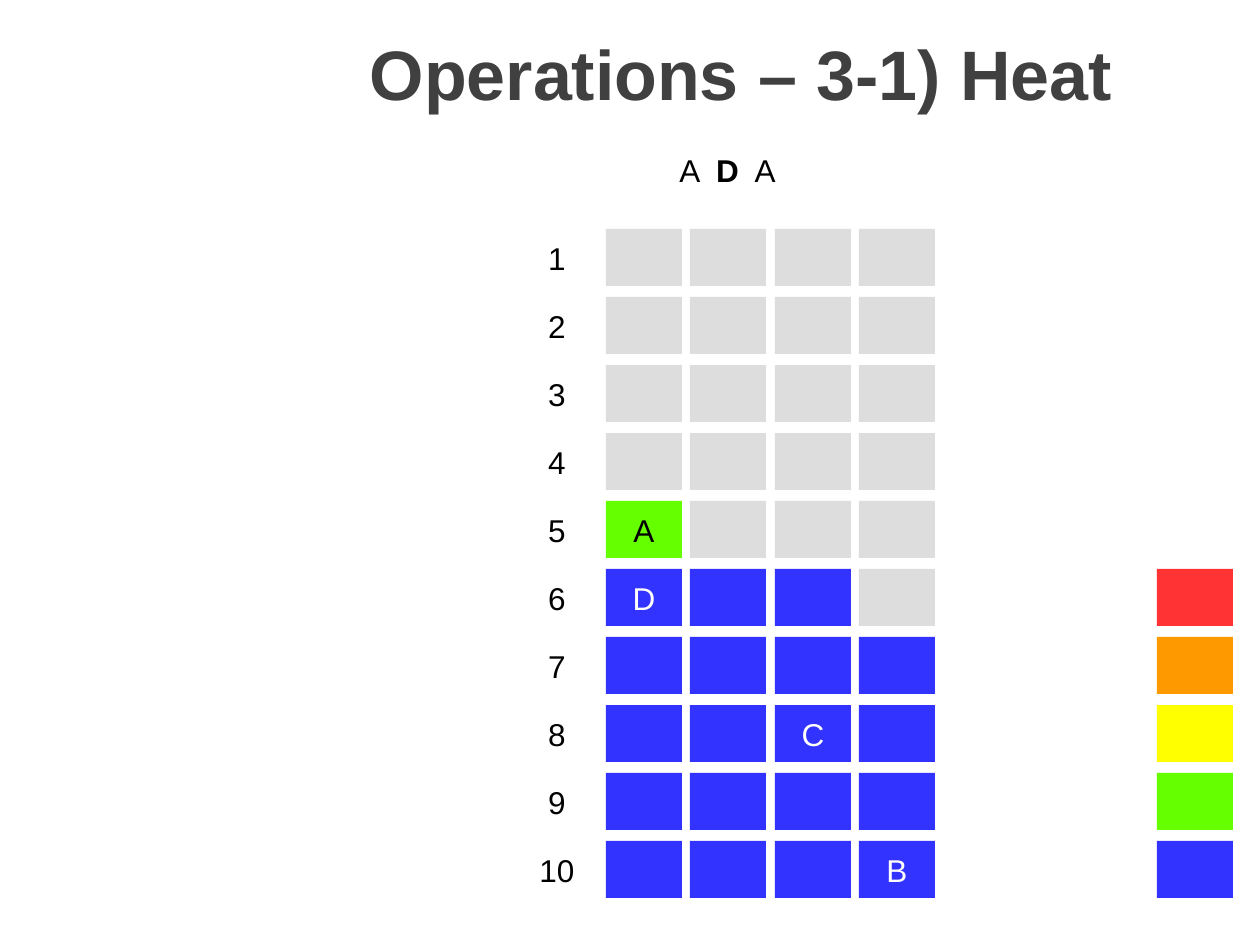
import pptx
import pptx.dml.color
import pptx.enum.shapes
import pptx.enum.text
import pptx.util

EMU_PER_PX = 914400 // 126
FONT = "Arial"
COLORS = {
    "empty": "DDDDDD", "blue": "3333FF", "green": "66FF00", "yellow": "FFFF00",
    "orange": "FF9900", "red": "FF3333", "white": "FFFFFF", "black": "000000",
    "title": "404040",
}

TITLE = "Operations – 3-1) Heat"
SEQUENCE = [("A  ", False), ("D", True), ("  A", False)]
HEAT_ROWS = (
    [["empty"] * 4] * 4
    + [["green"] + ["empty"] * 3]
    + [["blue"] * 3 + ["empty"]]
    + [["blue"] * 4] * 4
)
# (row, column) -> letter and its colour
LETTERS = {
    (4, 0): ("A", "black"), (5, 0): ("D", "white"),
    (7, 2): ("C", "white"), (9, 3): ("B", "white"),
}
LEGEND = ["red", "orange", "yellow", "green", "blue"]

CELL_W, CELL_H = 76, 57
COLUMN_LEFTS = [606, 690, 775, 859]
GRID_TOP, ROW_PITCH = 229, 68
LABEL_LEFT, LEGEND_LEFT = 519, 1157
LEGEND_FIRST_ROW = 5


def px(value):
    return pptx.util.Emu(value * EMU_PER_PX)


def rgb(name):
    return pptx.dml.color.RGBColor.from_string(COLORS[name])


def write(shape, runs, size, color, anchor="MIDDLE"):
    """Fill the shape with one centred paragraph of (text, bold) runs."""
    frame = shape.text_frame
    frame.word_wrap = True
    frame.vertical_anchor = getattr(pptx.enum.text.MSO_ANCHOR, anchor)
    paragraph = frame.paragraphs[0]
    paragraph.alignment = pptx.enum.text.PP_ALIGN.CENTER
    for text, bold in runs:
        run = paragraph.add_run()
        run.text = text
        run.font.name = FONT
        run.font.size = pptx.util.Pt(size)
        run.font.bold = bold
        run.font.color.rgb = rgb(color)


def add_box(slide, left, top, fill, width=CELL_W, height=CELL_H):
    shape = slide.shapes.add_shape(
        pptx.enum.shapes.MSO_SHAPE.RECTANGLE,
        px(left), px(top), px(width), px(height))
    shape.shadow.inherit = False
    shape.fill.solid()
    shape.fill.fore_color.rgb = rgb(fill)
    shape.line.fill.background()
    return shape


def row_top(row):
    return GRID_TOP + row * ROW_PITCH


def main():
    presentation = pptx.Presentation()
    presentation.slide_width = pptx.util.Inches(10)
    presentation.slide_height = pptx.util.Inches(7.5)
    slide = presentation.slides.add_slide(presentation.slide_layouts[6])

    title = slide.shapes.add_textbox(px(223), px(0), px(1036), px(146))
    write(title, [(TITLE, True)], 40, "title")

    sequence = add_box(slide, 444, 145, "white", width=567)
    write(sequence, SEQUENCE, 18, "black", anchor="TOP")

    for row, fills in enumerate(HEAT_ROWS):
        label = add_box(slide, LABEL_LEFT, row_top(row), "white")
        write(label, [(str(row + 1), False)], 18, "black")
        for column, (left, fill) in enumerate(zip(COLUMN_LEFTS, fills)):
            cell = add_box(slide, left, row_top(row), fill)
            if (row, column) in LETTERS:
                letter, color = LETTERS[row, column]
                write(cell, [(letter, False)], 18, color)

    for row, fill in enumerate(LEGEND, start=LEGEND_FIRST_ROW):
        add_box(slide, LEGEND_LEFT, row_top(row), fill)

    presentation.save("out.pptx")


if __name__ == "__main__":
    main()
